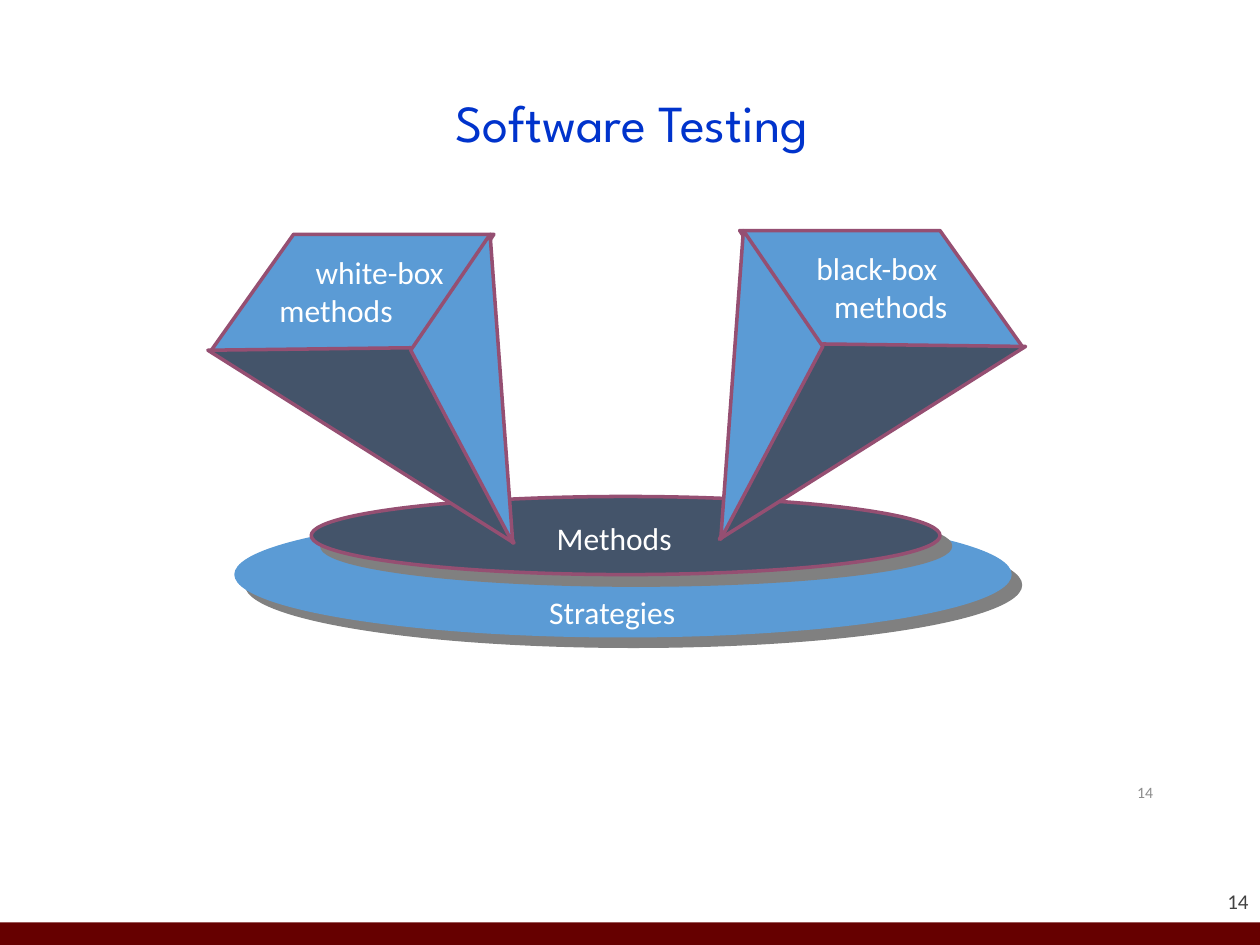
"""Build the software testing slide: two wedges resting on stacked discs."""
from lxml.etree import SubElement
from pptx import Presentation
from pptx.dml.color import RGBColor
from pptx.enum.shapes import MSO_SHAPE as Geo
from pptx.enum.text import MSO_ANCHOR as Anchor, PP_ALIGN as Align
from pptx.oxml.ns import qn
from pptx.util import Inches, Pt

BLUE = RGBColor(0x5B, 0x9B, 0xD5)
SLATE = RGBColor(0x44, 0x54, 0x6A)
PLUM = RGBColor(0x95, 0x4F, 0x72)
MAROON = RGBColor(0x66, 0x00, 0x00)
ROYAL = RGBColor(0x00, 0x33, 0xCC)
DARK = RGBColor(0x42, 0x42, 0x42)
GREY = RGBColor(0x8C, 0x8C, 0x8C)
WHITE = RGBColor(0xFF, 0xFF, 0xFF)


def paint(shape, fill, line):
    shape.shadow.inherit = False
    shape.fill.solid()
    shape.fill.fore_color.rgb = fill
    if line:
        shape.line.color.rgb = line
        shape.line.width = Pt(2)
    else:
        shape.line.fill.background()


def label(box, lines, size, color, name="Calibri", para={}, **frame):
    text = slide.shapes.add_textbox(*map(Inches, box)).text_frame
    for key, value in {"word_wrap": True, **frame}.items():
        setattr(text, key, value)
    text.text = "\n".join(lines)
    for part in text.paragraphs:
        for key, value in para.items():
            setattr(part, key, value)
        for key, value in {"size": Pt(size), "name": name}.items():
            setattr(part.font, key, value)
        part.font.color.rgb = color
    return text


deck = Presentation()
deck.slide_width, deck.slide_height = Inches(10), Inches(7.5)
slide = deck.slides.add_slide(deck.slide_layouts[6])

band = slide.shapes.add_shape(Geo.RECTANGLE, *map(Inches, (0, 7.32, 10, 0.18)))
paint(band, MAROON, None)

flush = {"margin_left": 0, "margin_right": 0, "margin_top": 0, "margin_bottom": 0}
label((9.08, 6.85, 0.83, 0.4), ["14"], 12, DARK,
      para={"alignment": Align.RIGHT, "space_before": Pt(5)},
      vertical_anchor=Anchor.BOTTOM, **flush)
label((7.17, 6.07, 2.08, 0.44), ["14"], 9, GREY,
      para={"alignment": Align.RIGHT}, vertical_anchor=Anchor.MIDDLE)
label((1.69, 0.71, 6.65, 0.58), ["Software Testing"], 29.7, ROYAL, "League Spartan",
      para={"alignment": Align.CENTER, "line_spacing": 0.9},
      vertical_anchor=Anchor.MIDDLE)

discs = [((1.86, 4.06, 6.17, 1), BLUE, None),
         ((2.47, 3.94, 4.99, 0.62), SLATE, PLUM)]
for box, fill, line in discs:
    disc = slide.shapes.add_shape(Geo.OVAL, *map(Inches, box))
    paint(disc, fill, line)
    glow = disc._element.spPr.find(qn("a:effectLst"))
    cast = SubElement(glow, qn("a:outerShdw"), dist=str(Pt(8.5)), dir="2700000",
                      algn="ctr", rotWithShape="0")
    SubElement(cast, qn("a:srgbClr"), val="808080")

faces = [(BLUE, [(3.92, 1.86), (2.33, 1.86), (1.67, 2.79), (3.29, 2.79)]),
         (SLATE, [(1.65, 2.78), (4.08, 4.31), (3.26, 2.76)]),
         (BLUE, [(4.07, 4.31), (3.26, 2.78), (3.89, 1.86)])]
for start, turn, lift in [(0, 1, 0), (9.79, -1, 0.03)]:
    wedge = slide.shapes.add_group_shape()
    for fill, points in faces:
        spots = [(Inches(start + turn * x), Inches(y - lift)) for x, y in points]
        pen = wedge.shapes.build_freeform(*spots[0])
        pen.add_line_segments(spots[1:], close=True)
        paint(pen.convert_to_shape(), fill, PLUM)

label((4.32, 4.07, 1.16, 0.4), ["Methods"], 18, WHITE, word_wrap=False)
label((4.26, 4.66, 1.32, 0.4), ["Strategies"], 18, WHITE, word_wrap=False)
white = label((2.12, 1.96, 1.5, 0.7), ["white-box", "methods"], 18, WHITE)
white.paragraphs[0].alignment = Align.RIGHT
black = label((6.21, 1.93, 1.5, 0.7), ["black-box", "methods"], 18, WHITE,
              para={"alignment": Align.CENTER})
black.paragraphs[1]._p.get_or_add_pPr().set("marL", str(Inches(0.22)))

deck.save("out.pptx")
